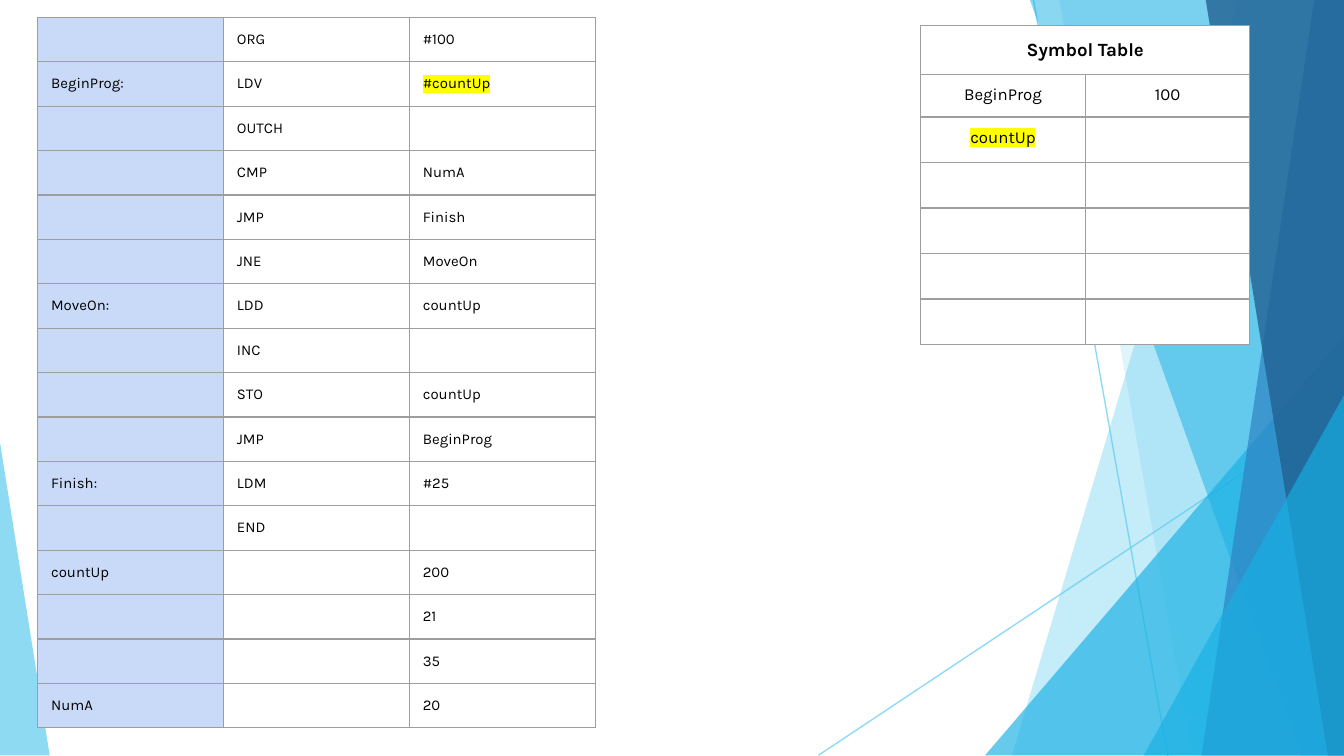
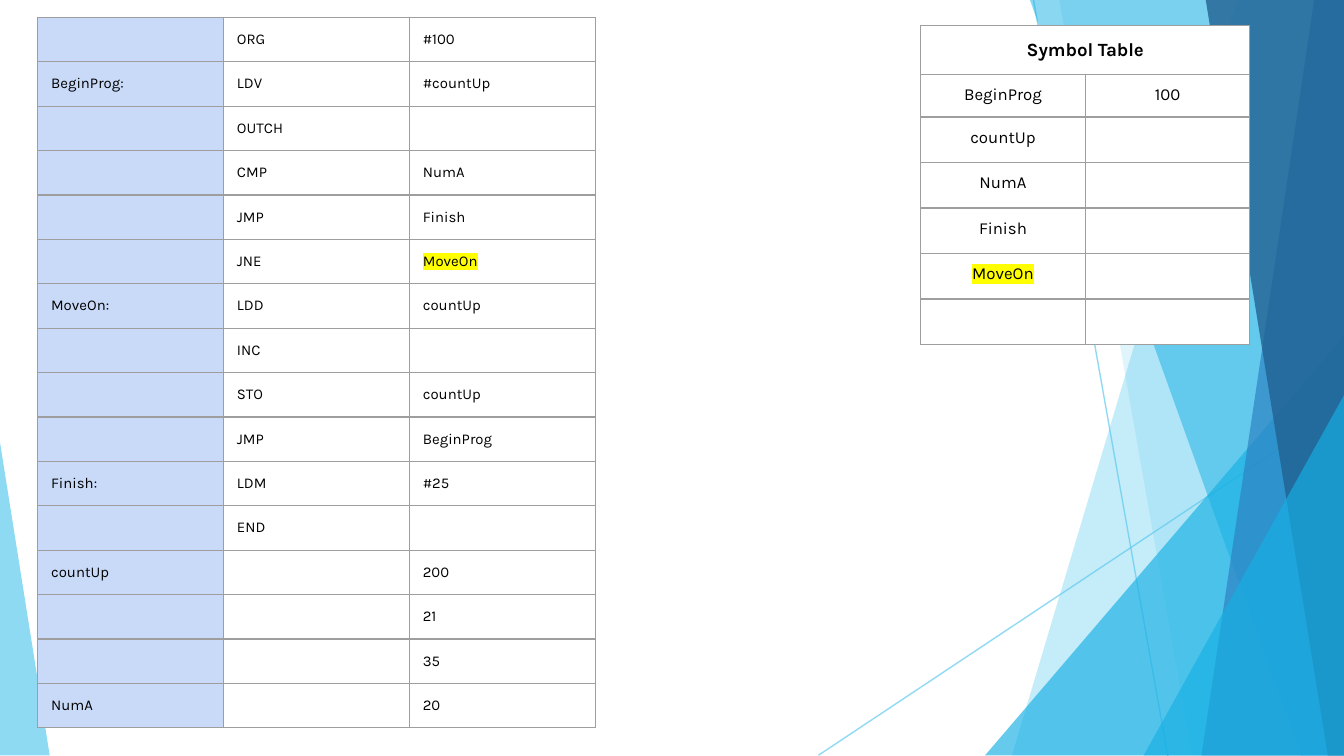
from itertools import product
from typing import NamedTuple

from lxml.etree import SubElement
from pptx import Presentation
from pptx.dml.color import RGBColor
from pptx.enum.shapes import MSO_CONNECTOR, MSO_SHAPE
from pptx.enum.text import PP_ALIGN
from pptx.oxml.ns import qn
from pptx.util import Inches, Pt

FONT = "Karla"
SKY, CYAN, BLUE, NAVY = "5FCBEF", "17B0E4", "2E83C3", "226292"
BLACK, WHITE, GREY = "000000", "FFFFFF", "9E9E9E"
PALE, YELLOW = "C9DAF8", "FFFF00"
WIDE, FOOT, TOP = 10, 5.62, -0.01


class Ray(NamedTuple):
    """A thin line across the background."""
    x1: float
    y1: float
    x2: float
    y2: float


class Shard(NamedTuple):
    """A band whose slanted left edge runs from head to foot of the slide."""
    head: float
    foot: float
    color: str
    alpha: int


class Wedge(NamedTuple):
    """A right triangle; apex is 0 at the left or 1 at the right."""
    left: float
    top: float
    width: float
    apex: int
    color: str
    alpha: int


class Style(NamedTuple):
    size: float
    align: PP_ALIGN
    bold: bool = False
    space: float = 1.0


class Grid(NamedTuple):
    """Place of a table, with the height of each row."""
    left: float
    top: float
    width: float
    height: float
    cols: int
    rows: list[float]


class Step(NamedTuple):
    """The code row being read and the symbols found so far, newest last."""
    row: int
    names: list[str]


RAYS = [Ray(7.69, 0, 8.69, 5.63), Ray(10, 3.02, 6.09, FOOT)]
PIECES = [
    Shard(9.21, 7.53, SKY, 36),
    Shard(7.88, 8.87, SKY, 20),
    Wedge(7.33, 2.5, 2.67, 1, CYAN, 66),
    Shard(7.66, 9.68, CYAN, 50),
    Shard(9.78, 8.94, BLUE, 70),
    Shard(8.97, 9.88, NAVY, 80),
    Wedge(8.51, 2.94, 1.49, 1, CYAN, 66),
    Wedge(0, 3.29, 0.37, 0, SKY, 70),
]

CODE = [
    ("", "ORG", "#100"),
    ("BeginProg:", "LDV", "#countUp"),
    ("", "OUTCH", ""),
    ("", "CMP", "NumA"),
    ("", "JMP", "Finish"),
    ("", "JNE", "MoveOn"),
    ("MoveOn:", "LDD", "countUp"),
    ("", "INC", ""),
    ("", "STO", "countUp"),
    ("", "JMP", "BeginProg"),
    ("Finish:", "LDM", "#25"),
    ("", "END", ""),
    ("countUp", "", "200"),
    ("", "", "21"),
    ("", "", "35"),
    ("NumA", "", "20"),
]
SLOTS = 6
CODE_GRID = Grid(0.28, 0.13, 4.15, 5.33, 3, [0.28] * len(CODE))
NAME_GRID = Grid(6.85, 0.19, 2.45, 2.29, 2, [0.32] + [0.31] * SLOTS)
CODE_STYLE = Style(8, PP_ALIGN.LEFT)
HEAD_STYLE = Style(10, PP_ALIGN.CENTER, bold=True)
NAME_STYLE = Style(9, PP_ALIGN.CENTER, space=0.8)
BARE_STYLE = Style(8.5, PP_ALIGN.CENTER, space=0.8)

STEPS = [
    Step(1, ["BeginProg", "countUp"]),
    Step(5, ["BeginProg", "countUp", "NumA", "Finish", "MoveOn"]),
]


def rgb(color: str) -> RGBColor:
    return RGBColor.from_string(color)


def fade(props, alpha: int) -> None:
    """Make the solid colours partly transparent."""
    for tone in props.iter(qn("a:srgbClr")):
        SubElement(tone, qn("a:alpha"), val=str(alpha * 1000))


def paint(shape, color: str, alpha: int) -> None:
    shape.shadow.inherit = False
    shape.fill.solid()
    shape.fill.fore_color.rgb = rgb(color)
    fade(shape.element.spPr, alpha)
    shape.line.fill.background()


def draw_ray(slide, ray: Ray) -> None:
    line = slide.shapes.add_connector(
        MSO_CONNECTOR.STRAIGHT, *(Inches(v) for v in ray))
    line.line.color.rgb = rgb(SKY)
    line.line.width = Pt(0.75)
    fade(line.element.spPr, 70)
    SubElement(line.element.spPr, qn("a:effectLst"))


def draw_shard(slide, shard: Shard) -> None:
    path = slide.shapes.build_freeform(Inches(shard.head), Inches(TOP))
    ends = [(WIDE, TOP), (WIDE, FOOT), (shard.foot, FOOT)]
    path.add_line_segments([(Inches(x), Inches(y)) for x, y in ends])
    paint(path.convert_to_shape(), shard.color, shard.alpha)


def draw_wedge(slide, wedge: Wedge) -> None:
    shape = slide.shapes.add_shape(
        MSO_SHAPE.ISOSCELES_TRIANGLE, Inches(wedge.left), Inches(wedge.top),
        Inches(wedge.width), Inches(FOOT - wedge.top))
    shape.adjustments[0] = wedge.apex
    paint(shape, wedge.color, wedge.alpha)


def dress(slide) -> None:
    """Draw the background and move it to the layout that slides share."""
    for ray in RAYS:
        draw_ray(slide, ray)
    for piece in PIECES:
        if isinstance(piece, Shard):
            draw_shard(slide, piece)
        else:
            draw_wedge(slide, piece)
    layout = slide.slide_layout
    for holder in list(layout.placeholders):
        layout.shapes.element.remove(holder.element)
    for shape in list(slide.shapes):
        layout.shapes.element.append(shape.element)


def edge(cell) -> None:
    """Give a cell a thin grey border on all sides."""
    props = cell._tc.get_or_add_tcPr()
    for side in "LRTB":
        line = SubElement(props, qn(f"a:ln{side}"), w=str(Pt(0.75)))
        fill = SubElement(line, qn("a:solidFill"))
        SubElement(fill, qn("a:srgbClr"), val=GREY)


def mark(run) -> None:
    """Highlight a run whose colour is already set."""
    props = run.font._element
    light = SubElement(props, qn("a:highlight"))
    SubElement(light, qn("a:srgbClr"), val=YELLOW)
    props.find(qn("a:solidFill")).addnext(light)


def write(cell, text: str, style: Style, fill: str = WHITE,
          lit: bool = False) -> None:
    edge(cell)
    cell.fill.solid()
    cell.fill.fore_color.rgb = rgb(fill)
    cell.margin_left = cell.margin_right = Inches(0.1)
    cell.margin_top = cell.margin_bottom = Inches(0.1)
    para = cell.text_frame.paragraphs[0]
    para.text = text
    para.alignment = style.align
    para.line_spacing = style.space
    for run in para.runs:
        run.font.name = FONT
        run.font.size = Pt(style.size)
        run.font.bold = style.bold
        run.font.color.rgb = rgb(BLACK)
        if lit:
            mark(run)
    if not text:
        end = SubElement(para._p, qn("a:endParaRPr"),
                         sz=str(int(style.size * 100)))
        SubElement(end, qn("a:latin"), typeface=FONT)


def add_grid(slide, grid: Grid):
    frame = slide.shapes.add_table(
        len(grid.rows), grid.cols, Inches(grid.left), Inches(grid.top),
        Inches(grid.width), Inches(grid.height))
    table = frame.table
    table.first_row = table.horz_banding = False
    for row, height in zip(table.rows, grid.rows):
        row.height = Inches(height)
    frame.height = Inches(grid.height)
    return table


def draw_code(slide, step: Step) -> None:
    table = add_grid(slide, CODE_GRID)
    last = CODE_GRID.cols - 1
    for row, col in product(range(len(CODE)), range(CODE_GRID.cols)):
        write(table.cell(row, col), CODE[row][col], CODE_STYLE,
              fill=WHITE if col else PALE,
              lit=(row, col) == (step.row, last))


def draw_names(slide, step: Step) -> None:
    table = add_grid(slide, NAME_GRID)
    table.cell(0, 0).merge(table.cell(0, 1))
    write(table.cell(0, 0), "Symbol Table", HEAD_STYLE)
    write(table.cell(0, 1), "", HEAD_STYLE)
    count = len(step.names)
    names = step.names + [""] * (SLOTS - count)
    for row, name in enumerate(names, 1):
        value = "100" if row == 1 else ""
        for col, text in enumerate((name, value)):
            write(table.cell(row, col), text,
                  NAME_STYLE if text else BARE_STYLE,
                  lit=(row, col) == (count, 0))


def main() -> None:
    deck = Presentation()
    deck.slide_width = Inches(WIDE)
    deck.slide_height = deck.slide_width * 9 // 16
    blank = deck.slide_layouts[6]
    slides = [deck.slides.add_slide(blank) for _ in STEPS]
    dress(slides[0])
    for slide, step in zip(slides, STEPS):
        draw_code(slide, step)
        draw_names(slide, step)
    deck.save("out.pptx")


if __name__ == "__main__":
    main()
